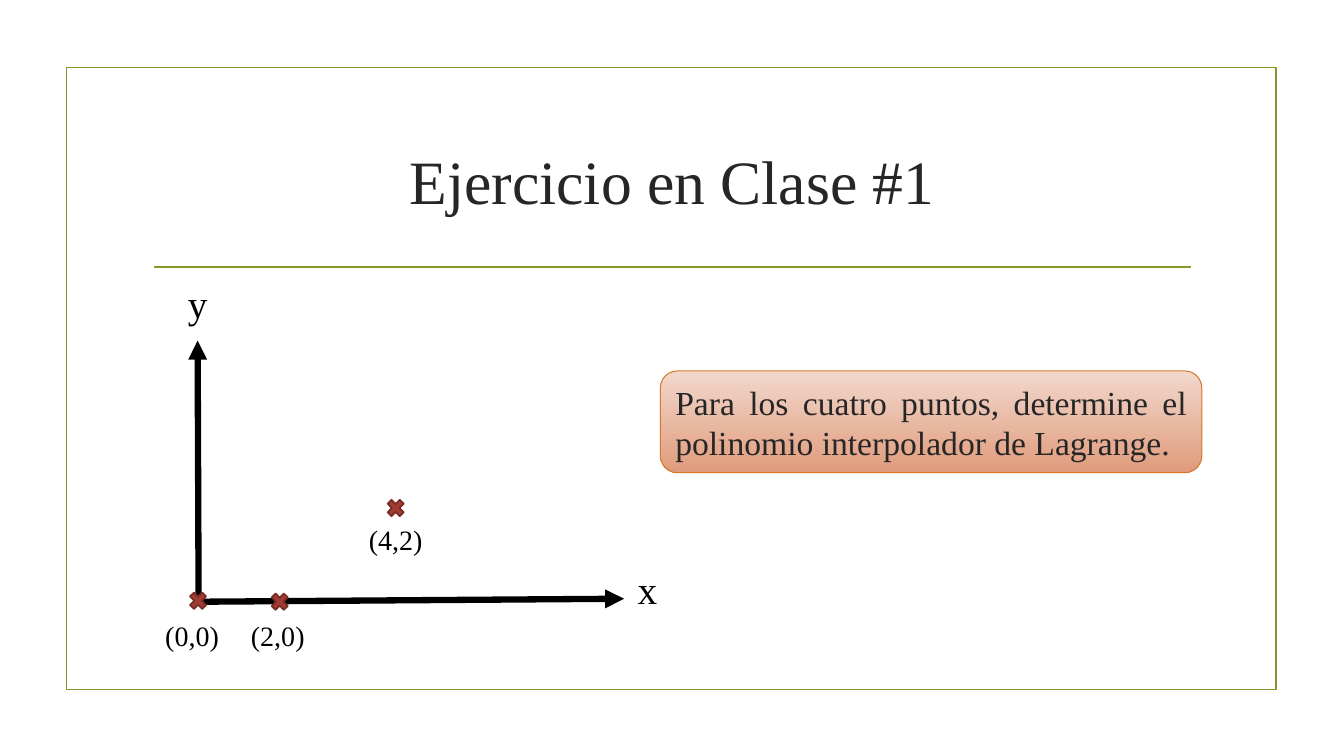
"""Build a slide with a class exercise on Lagrange interpolation."""
from pptx import Presentation
from pptx.dml.color import RGBColor
from pptx.enum import shapes, text
from pptx.oxml.ns import qn
from pptx.util import Inches, Pt
from lxml import etree

GREEN = RGBColor(0x83, 0x99, 0x2A)
BLACK = RGBColor(0, 0, 0)
DARK = RGBColor(0x26, 0x26, 0x26)
RED = RGBColor(0xA2, 0x3C, 0x33)
MAROON = RGBColor(0x78, 0x2C, 0x26)
ORANGE = RGBColor(0xD9, 0x78, 0x28)
PALE = RGBColor(0xF2, 0xD7, 0xCD)
CLAY = RGBColor(0xE0, 0x9C, 0x7C)
SHAPE = shapes.MSO_SHAPE
ALIGN = text.PP_ALIGN


def write(box, words, size, color=BLACK, align=ALIGN.CENTER, anchor=text.MSO_ANCHOR.TOP):
    frame = box.text_frame
    frame.word_wrap = True
    frame.vertical_anchor = anchor
    par = frame.paragraphs[0]
    par.alignment = align
    run = par.add_run()
    run.text = words
    run.font.name = "Times New Roman"
    run.font.size = Pt(size)
    run.font.color.rgb = color


def draw(start, end, color, width, arrow=False):
    line = slide.shapes.add_connector(
        shapes.MSO_CONNECTOR.STRAIGHT, *map(Inches, start + end))
    line.line.color.rgb = color
    line.line.width = Pt(width)
    if arrow:
        etree.SubElement(line.line._ln, qn("a:tailEnd"), type="triangle")
    etree.SubElement(line._element.spPr, qn("a:effectLst"))


prs = Presentation()
prs.slide_width, prs.slide_height = Inches(13.33), Inches(7.5)
slide = prs.slides.add_slide(prs.slide_layouts[5])

title = slide.shapes.title
title.left, title.top = Inches(1.42), Inches(1.07)
title.width, title.height = Inches(10.5), Inches(1.43)
write(title, "Ejercicio en Clase #1", 44, DARK, anchor=text.MSO_ANCHOR.MIDDLE)

frame = slide.shapes.add_shape(SHAPE.RECTANGLE, *map(Inches, (0.66, 0.67, 12, 6.17)))
frame.shadow.inherit = False
frame.fill.background()
frame.line.color.rgb = GREEN
frame.line.width = Pt(1.25)

draw((1.53, 2.65), (11.81, 2.65), GREEN, 1.25)
draw((1.97, 5.94), (1.96, 3.38), BLACK, 4.5, arrow=True)
draw((1.96, 5.97), (6.19, 5.94), BLACK, 4.5, arrow=True)

for left, top in ((1.85, 5.84), (2.66, 5.85), (3.81, 4.92)):
    mark = slide.shapes.add_shape(
        SHAPE.MATH_MULTIPLY, *map(Inches, (left, top, 0.23, 0.24)))
    mark.shadow.inherit = False
    mark.fill.solid()
    mark.fill.fore_color.rgb = RED
    mark.line.color.rgb = MAROON
    mark.line.width = Pt(1.25)

labels = (
    ("y", 1.42, 2.72, 1.08, 0.57, 28),
    ("x", 5.88, 5.56, 1.08, 0.57, 28),
    ("(0,0)", 1.32, 6.09, 1.17, 0.44, 20),
    ("(2,0)", 2.17, 6.09, 1.17, 0.44, 20),
    ("(4,2)", 3.34, 5.13, 1.17, 0.44, 20),
)
for words, *place, size in labels:
    write(slide.shapes.add_textbox(*map(Inches, place)), words, size)

task = slide.shapes.add_shape(
    SHAPE.ROUNDED_RECTANGLE, *map(Inches, (6.55, 3.68, 5.37, 1.01)))
task.shadow.inherit = False
task.fill.gradient()
task.fill.gradient_angle = 270
for stop, color, spot in zip(task.fill.gradient_stops, (PALE, CLAY), (0, 1)):
    stop.color.rgb = color
    stop.position = spot
task.line.color.rgb = ORANGE
task.line.width = Pt(0.75)
write(task, "Para los cuatro puntos, determine el polinomio interpolador de Lagrange.",
      24, DARK, ALIGN.JUSTIFY, text.MSO_ANCHOR.MIDDLE)

prs.save("out.pptx")
